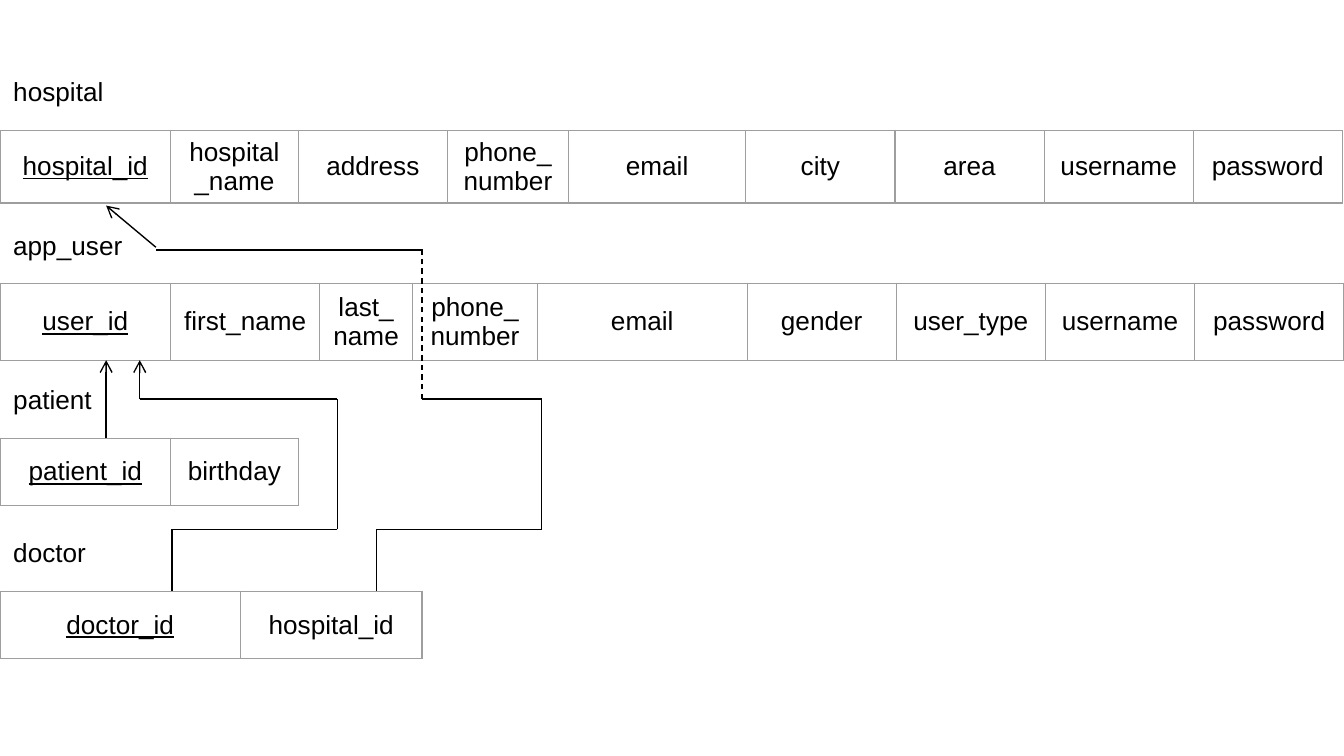
from itertools import pairwise
from lxml import etree
from pptx import Presentation
from pptx.dml.color import RGBColor
from pptx.enum.dml import MSO_LINE
from pptx.enum.shapes import MSO_CONNECTOR
from pptx.enum.text import MSO_ANCHOR, MSO_AUTO_SIZE, PP_ALIGN
from pptx.oxml.ns import qn
from pptx.util import Inches, Pt

LINE = MSO_CONNECTOR.STRAIGHT
DASH = MSO_LINE.DASH
MIDDLE = MSO_ANCHOR.MIDDLE
GROW = MSO_AUTO_SIZE.SHAPE_TO_FIT_TEXT
LEFT, CENTER = PP_ALIGN.LEFT, PP_ALIGN.CENTER
COLORS = {"ink": "000000", "grid": "9E9E9E"}

# Widescreen page, 16 to 9
deck = Presentation()
deck.slide_width = Inches(10)
deck.slide_height = Inches(10) * 9 // 16
slide = deck.slides.add_slide(deck.slide_layouts[6])
shapes = slide.shapes


def write(frame, text, align=LEFT, size=14, under=False):
    para = frame.paragraphs[0]
    para.alignment = align
    run = para.add_run()
    run.text = text
    font = run.font
    font.name, font.size, font.underline = "Arial", Pt(size), under
    font.color.rgb = RGBColor.from_string(COLORS["ink"])


def connect(start, end, arrow=False, dash=False):
    link = shapes.add_connector(LINE, *(Inches(v) for v in start + end))
    link.line.width = Pt(0.75)
    link.line.color.rgb = RGBColor.from_string(COLORS["ink"])
    if dash:
        link.line.dash_style = DASH
    if arrow:
        etree.SubElement(link.line._ln, qn("a:tailEnd"), type="arrow")
    etree.SubElement(link._element.spPr, qn("a:effectLst"))


# Relations: name, label top, label width, table top, row height, columns
# The first column of each relation is its key
tail = [("username", 1.11), ("password", 1.11)]
relations = [
    ("hospital", 0.51, 0.91, 0.97, 0.54,
     [("hospital_id", 1.27), ("hospital_name", 0.95), ("address", 1.11),
      ("phone_number", 0.9), ("email", 1.32), ("city", 1.11),
      ("area", 1.11)] + tail),
    ("app_user", 1.66, 1.04, 2.11, 0.57,
     [("user_id", 1.27), ("first_name", 1.11), ("last_name", 0.69),
      ("phone_number", 0.93), ("email", 1.56), ("gender", 1.11),
      ("user_type", 1.11)] + tail),
    ("patient", 2.8, 0.79, 3.26, 0.5,
     [("patient_id", 1.27), ("birthday", 0.95)]),
    ("doctor", 3.94, 0.75, 4.4, 0.5,
     [("doctor_id", 1.79), ("hospital_id", 1.35)]),
]

for name, label_top, label_wide, top, high, cols in relations:
    # Table
    wide = sum(w for _, w in cols)
    table = shapes.add_table(1, len(cols), 0, Inches(top),
                             Inches(wide), Inches(high)).table
    table.first_row = table.horz_banding = False
    for i, (field, w) in enumerate(cols):
        table.columns[i].width = Inches(w)
        cell = table.cell(0, i)
        cell.vertical_anchor = MIDDLE
        # Narrow side margins keep the longest names on one line
        cell.margin_left = cell.margin_right = Inches(0.09)
        write(cell.text_frame, field, align=CENTER, under=i == 0)
        props = cell._tc.get_or_add_tcPr()
        for side in ("lnL", "lnR", "lnT", "lnB"):
            edge = etree.SubElement(props, qn(f"a:{side}"), w=str(Pt(0.75)))
            fill = etree.SubElement(edge, qn("a:solidFill"))
            etree.SubElement(fill, qn("a:srgbClr"), val=COLORS["grid"])
        cell.fill.background()

    # Label
    box = shapes.add_textbox(0, Inches(label_top), Inches(label_wide), Inches(0.34))
    box.text_frame.word_wrap = False
    box.text_frame.auto_size = GROW
    write(box.text_frame, name)

# patient_id to user_id
connect((0.79, 3.26), (0.79, 2.68), arrow=True)

# doctor_id to user_id
connect((1.04, 2.97), (1.04, 2.68), arrow=True)
upper, lower, base = 2.97, 3.94, 4.4

# Stepped routes up from the doctor table: end, bend and start positions
for end, bend, start in [(1.04, 2.51, 1.28), (3.14, 4.03, 2.8)]:
    route = [(end, upper), (bend, upper), (bend, lower), (start, lower), (start, base)]
    for a, b in pairwise(route):
        connect(a, b)

# doctor's hospital_id on to hospital, dashed across app_user
connect((3.14, upper), (3.14, 1.84), dash=True)
connect((3.14, 1.86), (1.16, 1.86))
connect((1.16, 1.84), (0.79, 1.53), arrow=True)

deck.save("out.pptx")
